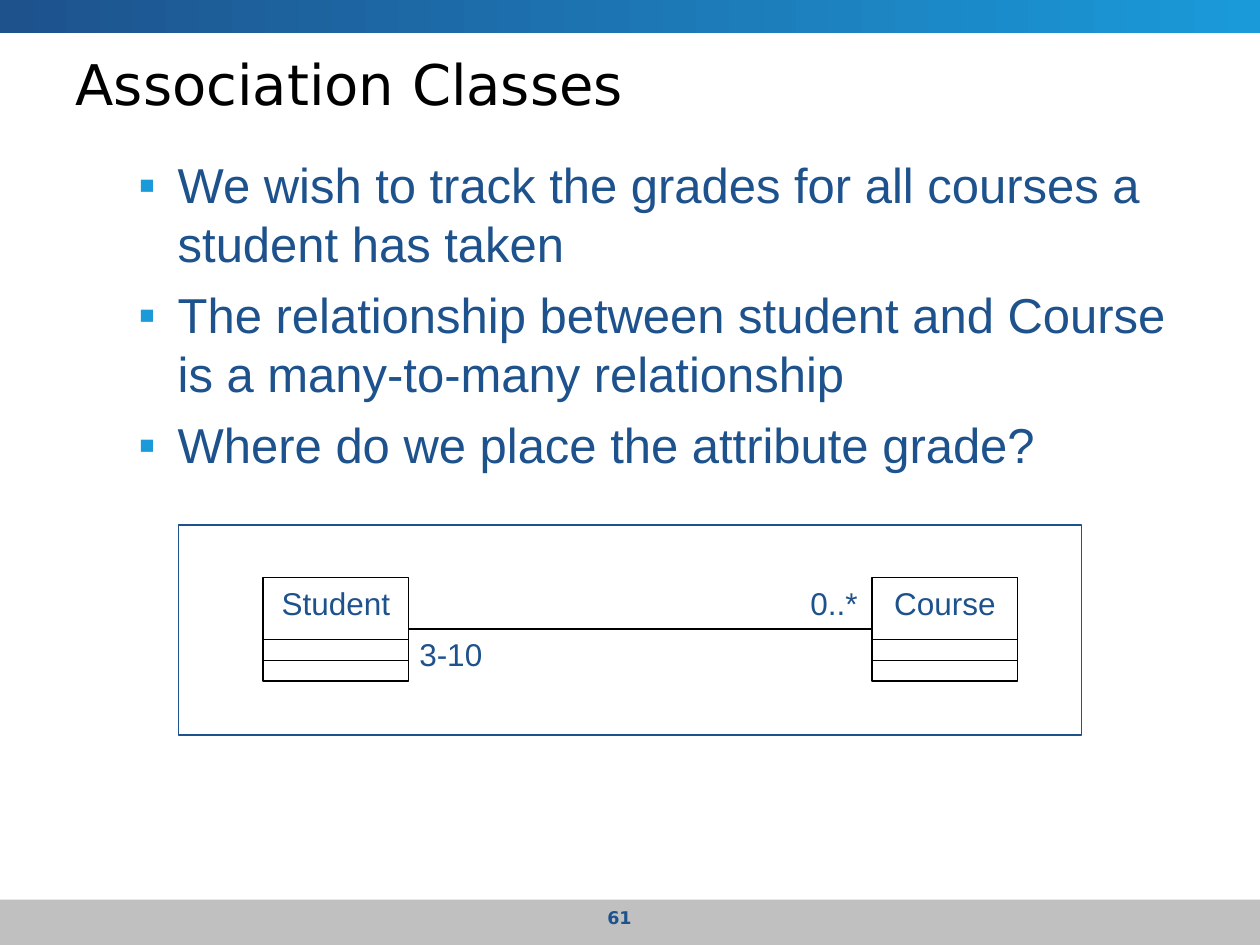
from lxml import etree
from pptx import Presentation
from pptx.dml.color import RGBColor
from pptx.enum.shapes import MSO_CONNECTOR, MSO_SHAPE
from pptx.enum.text import MSO_ANCHOR, PP_ALIGN
from pptx.oxml.ns import qn
from pptx.util import Pt

BLUE = RGBColor(0x1D, 0x52, 0x8D)
SKY = RGBColor(0x1B, 0x9A, 0xD9)
GRAY = RGBColor(0xC0, 0xC0, 0xC0)
BLACK = RGBColor(0, 0, 0)
WHITE = RGBColor(255, 255, 255)
RECT = MSO_SHAPE.RECTANGLE
LINE = MSO_CONNECTOR.STRAIGHT
TOP, MID = MSO_ANCHOR.TOP, MSO_ANCHOR.MIDDLE
LEFT, CENTER = PP_ALIGN.LEFT, PP_ALIGN.CENTER


def write(para, text, size, color=BLUE, font="Arial", align=LEFT):
    para.alignment = align
    run = para.add_run()
    run.text = text
    run.font.size = Pt(size)
    run.font.name = font
    run.font.color.rgb = color
    return run


def link(group, x1, x2, y):
    line = group.shapes.add_connector(LINE, Pt(x1), Pt(y), Pt(x2), Pt(y))
    line.line.color.rgb = BLACK
    line.line.width = Pt(1)
    etree.SubElement(line._element.spPr, qn("a:effectLst"))
    return line


prs = Presentation()
prs.slide_width, prs.slide_height = Pt(720), Pt(540)
slide = prs.slides.add_slide(prs.slide_layouts[5])
shapes = slide.shapes

foot = shapes.add_shape(RECT, 0, Pt(514), Pt(720), Pt(26))
foot.fill.solid()
foot.fill.fore_color.rgb = GRAY
band = shapes.add_shape(RECT, 0, 0, Pt(720), Pt(19))
band.fill.gradient()
band.fill.gradient_angle = 0
for stop, color in zip(band.fill.gradient_stops, (BLUE, SKY)):
    stop.color.rgb = color
for bar in (foot, band):
    bar.shadow.inherit = False
    bar.line.fill.background()

frame = shapes.add_shape(RECT, Pt(102), Pt(300), Pt(516), Pt(120))
frame.shadow.inherit = False
frame.fill.solid()
frame.fill.fore_color.rgb = WHITE
frame.line.color.rgb = BLUE
frame.line.width = Pt(0.75)

group = shapes.add_group_shape()
boxes = []
for name, x in (("Student", 150.5), ("Course", 498.5)):
    box = group.shapes.add_shape(RECT, Pt(x), Pt(330), Pt(83), Pt(59))
    box.shadow.inherit = False
    box.fill.background()
    box.line.color.rgb = BLACK
    box.line.width = Pt(1)
    box.text_frame.word_wrap = False
    box.text_frame.vertical_anchor = TOP
    write(box.text_frame.paragraphs[0], name, 18, align=CENTER)
    boxes.append(box)
    for y in (365.5, 377.5):
        link(group, x, x + 83, y)

student, course = boxes
tie = link(group, 498.5, 233.5, 359.5)
tie.begin_connect(course, 1)
tie.end_connect(student, 3)
for text, x, y, width in (("0..*", 456, 330, 42), ("3-10", 232.5, 359.5, 54)):
    label = group.shapes.add_textbox(Pt(x), Pt(y), Pt(width), Pt(29))
    label.text_frame.word_wrap = False
    write(label.text_frame.paragraphs[0], text, 18)

title = shapes.title
title.left, title.top = Pt(36), Pt(25)
title.width, title.height = Pt(648), Pt(45)
title.text_frame.vertical_anchor = MID
write(title.text_frame.paragraphs[0], "Association Classes", 32, BLACK, "DejaVu Sans")

body = shapes.add_textbox(Pt(36), Pt(85), Pt(648), Pt(413)).text_frame
body.word_wrap = True
points = (
    "We wish to track the grades for all courses a student has taken",
    "The relationship between student and Course is a many-to-many relationship",
    "Where do we place the attribute grade?",
)
for i, text in enumerate(points):
    para = body.add_paragraph() if i else body.paragraphs[0]
    para.space_before = Pt(7 if i else 0)
    props = para._p.get_or_add_pPr()
    props.set("marL", str(Pt(58.5)))
    props.set("indent", str(-Pt(22.5)))
    tint = etree.SubElement(props, qn("a:buClr"))
    etree.SubElement(tint, qn("a:srgbClr"), val=str(SKY))
    etree.SubElement(props, qn("a:buFont"), typeface="Arial")
    etree.SubElement(props, qn("a:buChar"), char="▪")
    write(para, text, 28)

page = shapes.add_textbox(Pt(270), Pt(515), Pt(168), Pt(20)).text_frame
page.word_wrap = True
write(page.paragraphs[0], "61", 10, font="DejaVu Sans", align=CENTER).font.bold = True

prs.save("out.pptx")
